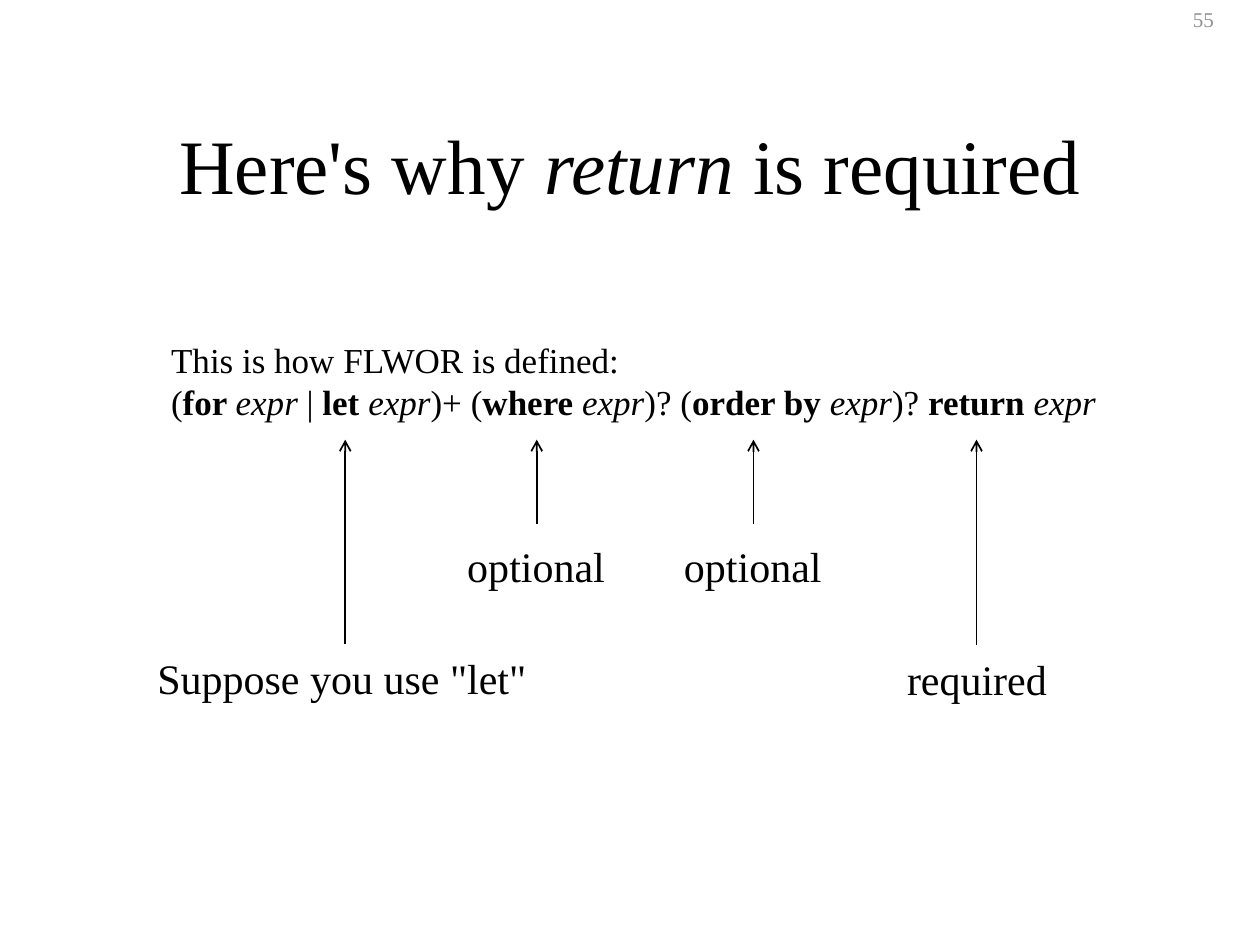
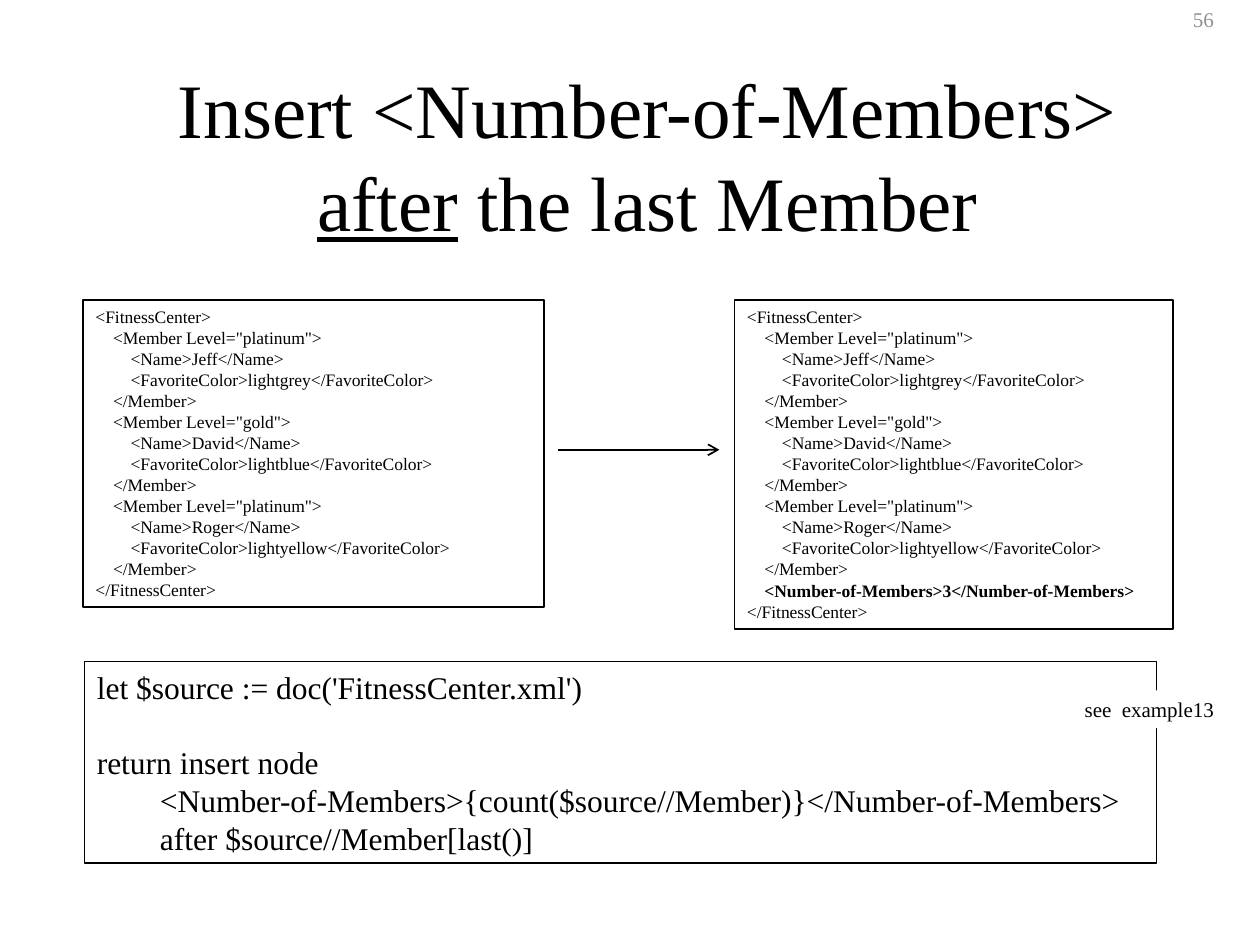
from lxml import etree
from pptx import Presentation
from pptx.dml.color import RGBColor
from pptx.enum.shapes import MSO_CONNECTOR, MSO_SHAPE
from pptx.enum.text import MSO_ANCHOR, PP_ALIGN
from pptx.oxml.ns import qn
from pptx.util import Emu, Pt

RECTANGLE = MSO_SHAPE.RECTANGLE
STRAIGHT = MSO_CONNECTOR.STRAIGHT
LEFT, CENTER = PP_ALIGN.LEFT, PP_ALIGN.CENTER
TOP, MIDDLE = MSO_ANCHOR.TOP, MSO_ANCHOR.MIDDLE

EMU_PER_PX = 9144  # 100 px to the inch
FONT = "Times New Roman"
BLACK, WHITE, GREY = "000000", "FFFFFF", "919191"


def px(length):
    return Emu(length * EMU_PER_PX)


def rgb(color):
    return RGBColor.from_string(color)


def span(text, bold=False, italic=False, underline=False):
    return text, {"bold": bold, "italic": italic, "underline": underline}


def line(*spans, indent=0, before=0):
    """One paragraph: plain strings or spans, with indent and space before in points."""
    return [span(s) if isinstance(s, str) else s for s in spans], indent, before


def write(box, lines, size, color=BLACK, align=LEFT, anchor=TOP, wrap=True):
    frame = box.text_frame
    frame.word_wrap = wrap
    frame.vertical_anchor = anchor
    for number, (spans, indent, before) in enumerate(lines):
        para = frame.add_paragraph() if number else frame.paragraphs[0]
        para.alignment = align
        if before:
            para.space_before = Pt(before)
        if indent:
            para._p.get_or_add_pPr().set("marL", str(Pt(indent)))
        for text, style in spans:
            run = para.add_run()
            run.text = text
            font = run.font
            font.name, font.size = FONT, Pt(size)
            font.color.rgb = rgb(color)
            font.bold, font.italic = style["bold"], style["italic"]
            font.underline = style["underline"]


class Slides:
    def __init__(self):
        self.deck = Presentation()
        self.deck.slide_width, self.deck.slide_height = px(1000), px(750)
        self.page = None

    def add_page(self, number):
        self.page = self.deck.slides.add_slide(self.deck.slide_layouts[6])
        self.text(937, 0, 63, 30, [line(str(number))], size=12, color=GREY)

    def text(self, left, top, width, height, lines, **style):
        box = self.page.shapes.add_textbox(px(left), px(top), px(width), px(height))
        write(box, lines, **style)

    def title(self, left, top, width, lines, anchor):
        self.text(left, top, width, 125, lines, size=44, align=CENTER, anchor=anchor)

    def label(self, left, top, width, text):
        self.text(left, top, width, 50, [line(text)], size=24, wrap=False)

    def panel(self, left, top, width, height, lines, outlined=True, **style):
        box = self.page.shapes.add_shape(
            RECTANGLE, px(left), px(top), px(width), px(height))
        box.shadow.inherit = False
        box.fill.solid()
        box.fill.fore_color.rgb = rgb(WHITE)
        if outlined:
            box.line.color.rgb = rgb(BLACK)
            box.line.width = Pt(1)
        else:
            box.line.fill.background()
        write(box, lines, **style)

    def arrow(self, x1, y1, x2, y2):
        arrow = self.page.shapes.add_connector(STRAIGHT, px(x1), px(y1), px(x2), px(y2))
        arrow.line.color.rgb = rgb(BLACK)
        arrow.line.width = Pt(1)
        etree.SubElement(arrow.line._get_or_add_ln(), qn("a:tailEnd"), type="arrow")
        etree.SubElement(arrow._element.spPr, qn("a:effectLst"))


def grammar_line():
    expr = span("expr", italic=True)
    parts = ["("]
    for keyword, after in (("for ", " |"), (" let ", ")+ ("), ("where ", ")? ("),
                           ("order by ", ")? "), ("return ", "")):
        parts += [span(keyword, bold=True), expr]
        if after:
            parts.append(after)
    return line(*parts)


def fitness_center(*extra):
    """The XML listing, with extra lines after the last member."""
    step = 10
    lines = [line("<FitnessCenter>")]
    for name, level, color in (("Jeff", "platinum", "lightgrey"),
                               ("David", "gold", "lightblue"),
                               ("Roger", "platinum", "lightyellow")):
        lines += [
            line(f'<Member Level="{level}">', indent=step),
            line(f"<Name>{name}</Name>", indent=2 * step),
            line(f"<FavoriteColor>{color}</FavoriteColor>", indent=2 * step),
            line("</Member>", indent=step),
        ]
    lines += [line(item, indent=step) for item in extra]
    return lines + [line("</FitnessCenter>")]


def return_page(slides):
    slides.add_page(55)
    slides.title(75, 67, 850, [
        line("Here's why ", span("return", italic=True), " is required")], MIDDLE)
    slides.text(126, 264, 756, 77,
                [line("This is how FLWOR is defined:"), grammar_line()],
                size=20, wrap=False)
    for text, left, top, width, arrow_x in (
            ("optional", 361, 424, 129, 426),
            ("optional", 533, 424, 129, 598),
            ("required", 710, 514, 131, 775),
            ('Suppose you use "let"', 115, 513, 313, 274)):
        slides.arrow(arrow_x, top - 8 if top < 500 else top - 2, arrow_x, 349)
        slides.label(left, top, width, text)


def insert_page(slides):
    slides.add_page(56)
    slides.title(75, 44, 878, [
        line("Insert <Number-of-Members>"),
        line(span("after", underline=True), " the last Member")], TOP)
    slides.panel(66, 238, 366, 244, fitness_center(), size=10)
    count = span("<Number-of-Members>3</Number-of-Members>", bold=True)
    slides.panel(583, 238, 348, 261, fitness_center(count), size=10)
    slides.arrow(443, 357, 571, 357)
    slides.panel(67, 525, 851, 160, [
        line("let $source := doc('FitnessCenter.xml')"),
        line("return insert node", before=21.6),
        line("<Number-of-Members>{count($source//Member)}</Number-of-Members>", indent=36),
        line("after $source//Member[last()]", indent=36)], size=18)
    slides.panel(851, 548, 122, 30, [line("see  example13")],
                 outlined=False, size=12, wrap=False)


def main():
    slides = Slides()
    return_page(slides)
    insert_page(slides)
    slides.deck.save("out.pptx")


if __name__ == "__main__":
    main()
